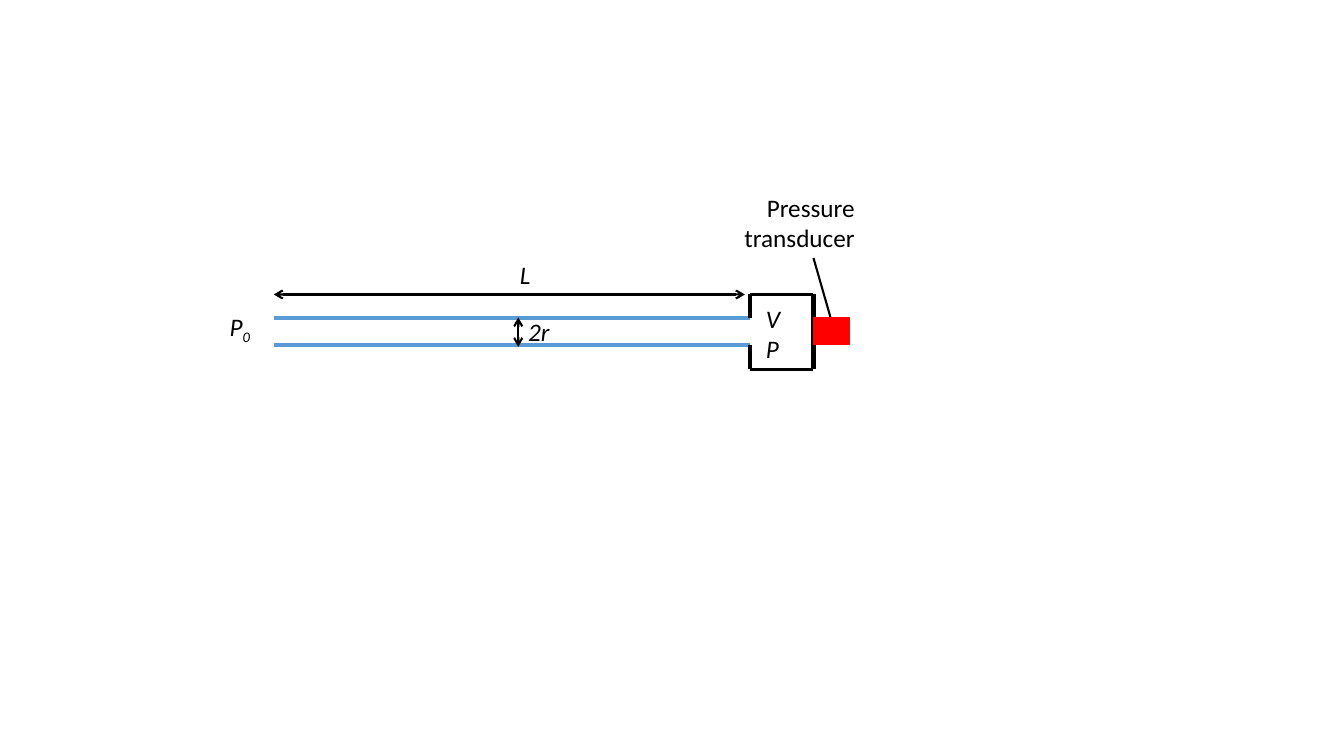
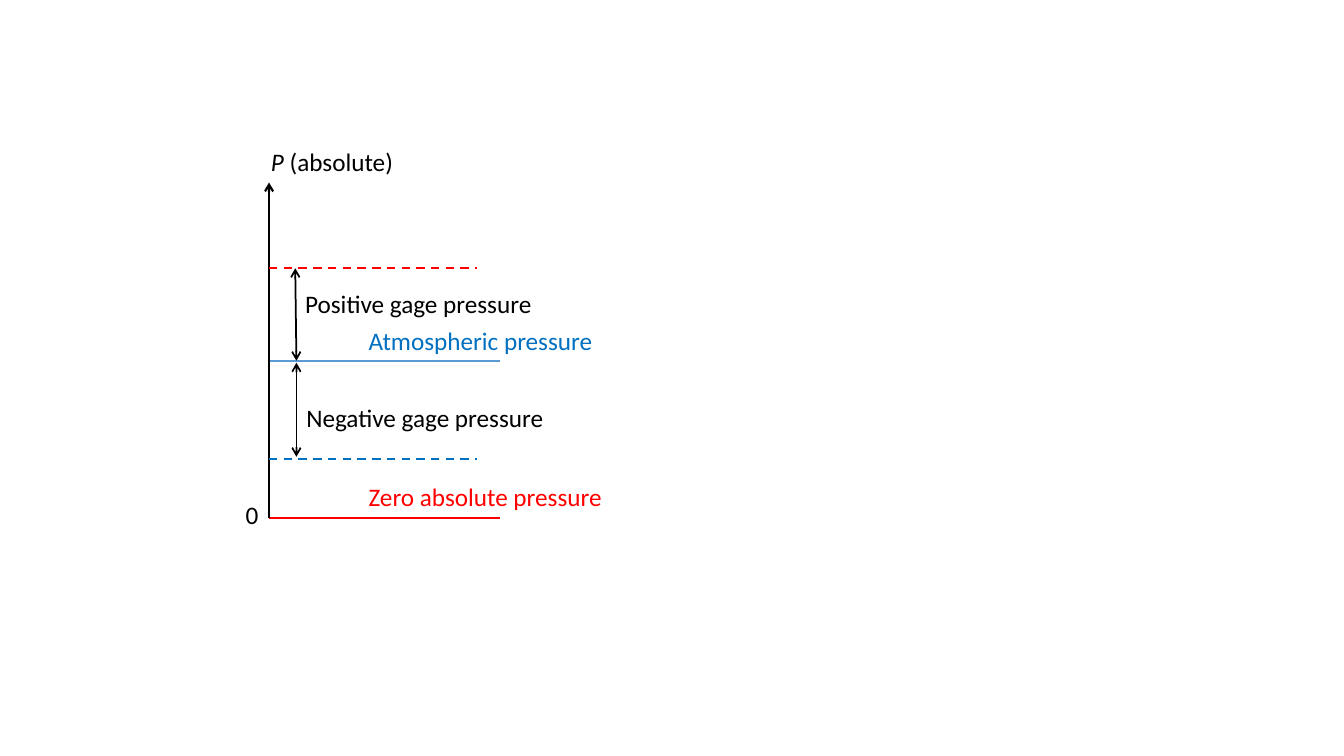
"""Draw a pressure tube with its transducer and a scale of gage pressures."""
import pptx
import pptx.chart.data
import pptx.dml.color
import pptx.enum.dml
import pptx.enum.shapes
import pptx.enum.text
import pptx.oxml
import pptx.oxml.ns
import pptx.util

Cm, Pt = pptx.util.Cm, pptx.util.Pt
RGB = pptx.dml.color.RGBColor
BLACK = RGB(0x00, 0x00, 0x00)
RED = RGB(0xFF, 0x00, 0x00)
BLUE = RGB(0x00, 0x70, 0xC0)
SKY = RGB(0x5B, 0x9B, 0xD5)
FONT, SIZE = "Calibri", 18
ROW, PAIR = 1.02, 1.8
LEFT, RIGHT = pptx.enum.text.PP_ALIGN.LEFT, pptx.enum.text.PP_ALIGN.RIGHT
HEAD, BOTH = ("headEnd",), ("headEnd", "tailEnd")

MOUTH, WALL, BACK = 6.9, 18.9, 20.5
ROOF, UPPER, LOWER, FLOOR = 7.42, 8.02, 8.69, 9.3
BORE = 13.06
TUBE = {
    "lines": [
        (MOUTH, UPPER, WALL, UPPER, SKY, 3),
        (MOUTH, LOWER, WALL, LOWER, SKY, 3),
        (WALL, UPPER, WALL, ROOF, BLACK, 3),
        (WALL, FLOOR, WALL, LOWER, BLACK, 3),
        (WALL, ROOF, BACK, ROOF, BLACK, 2.25),
        (WALL, FLOOR, BACK, FLOOR, BLACK, 2.25),
        (BACK, FLOOR, BACK, ROOF, BLACK, 3),
        (MOUTH, ROOF, 18.77, ROOF, BLACK, 1.5, BOTH),
        (20.93, 8, BACK, 6.5, BLACK, 1.5),
        (BORE, 8, BORE, 8.74, BLACK, 1.5, BOTH),
    ],
    "boxes": [(BACK, 8, 0.91, 0.69, RED)],
    "texts": [
        (19.05, 7.52, 1.3, PAIR, [("V P", "i")]),
        (5.54, 7.72, 1.3, ROW, [("P", "i"), ("0", "i_")]),
        (12.85, 6.4, 1.3, ROW, [("L", "i")]),
        (BORE, 7.85, 1.3, ROW, [("2r", "i")]),
        (18.11, 4.72, 3.68, PAIR, [("Pressure transducer", "")], BLACK, RIGHT),
    ],
}

AXIS, LONG, SHORT = 6.78, 12.6, 12.01
TOP, HIGH, ATMOS, LOW, ZERO = 4.6, 6.76, 9.09, 11.56, 13.06
SCALE = {
    "lines": [
        (AXIS, ZERO, LONG, ZERO, RED, 1.5),
        (AXIS, ATMOS, LONG, ATMOS, SKY, 1.5),
        (AXIS, TOP, AXIS, ZERO, BLACK, 1.5, HEAD),
        (AXIS, HIGH, SHORT, HIGH, RED, 1.5, (), True),
        (AXIS, LOW, SHORT, LOW, BLUE, 1.5, (), True),
        (7.44, HIGH, 7.47, ATMOS, BLACK, 1.25, BOTH),
        (7.47, ATMOS + 0.05, 7.47, LOW - 0.05, BLACK, 1.25, BOTH),
    ],
    "boxes": [],
    "texts": [
        (6.58, 3.56, 5.44, ROW, [("P", "i"), (" (absolute)", "")]),
        (9.04, 12.01, 7.47, ROW, [("Zero absolute pressure", "")], RED),
        (9.04, 8.08, 7.47, ROW, [("Atmospheric pressure", "")], BLUE),
        (7.44, 7.14, 7.47, ROW, [("Positive gage pressure", "")]),
        (7.47, 10.01, 7.47, ROW, [("Negative gage pressure", "")]),
        (5.94, 12.47, 5.44, ROW, [("0", "")]),
    ],
}


def add_line(slide, x1, y1, x2, y2, color, width, ends=(), dash=False):
    kind = pptx.enum.shapes.MSO_CONNECTOR.STRAIGHT
    link = slide.shapes.add_connector(kind, Cm(x1), Cm(y1), Cm(x2), Cm(y2))
    link.line.color.rgb = color
    link.line.width = Pt(width)
    if dash:
        link.line.dash_style = pptx.enum.dml.MSO_LINE.DASH
    for end in ends:
        tip = pptx.oxml.parse_xml(
            f'<a:{end} {pptx.oxml.ns.nsdecls("a")} type="arrow"/>')
        link.line._get_or_add_ln().append(tip)
    props = link._element.spPr
    props.append(pptx.oxml.parse_xml(
        f'<a:effectLst {pptx.oxml.ns.nsdecls("a")}/>'))


def add_box(slide, x, y, wide, high, color):
    kind = pptx.enum.shapes.MSO_SHAPE.RECTANGLE
    box = slide.shapes.add_shape(kind, Cm(x), Cm(y), Cm(wide), Cm(high))
    box.shadow.inherit = False
    box.fill.solid()
    box.fill.fore_color.rgb = color
    box.line.color.rgb = color
    box.line.width = Pt(1)


def add_text(slide, x, y, wide, high, parts, color=BLACK, align=LEFT):
    box = slide.shapes.add_textbox(Cm(x), Cm(y), Cm(wide), Cm(high))
    frame = box.text_frame
    frame.word_wrap = True
    frame.auto_size = pptx.enum.text.MSO_AUTO_SIZE.SHAPE_TO_FIT_TEXT
    para = frame.paragraphs[0]
    para.alignment = align
    for words, style in parts:
        run = para.add_run()
        run.text = words
        run.font.name = FONT
        run.font.size = Pt(SIZE)
        run.font.color.rgb = color
        run.font.italic = "i" in style
        if "_" in style:
            run.font._element.set("baseline", "-25000")


def main():
    deck = pptx.Presentation()
    deck.slide_width, deck.slide_height = Cm(33.87), Cm(19.05)
    for plan in (TUBE, SCALE):
        slide = deck.slides.add_slide(deck.slide_layouts[6])
        for line in plan["lines"]:
            add_line(slide, *line)
        for box in plan["boxes"]:
            add_box(slide, *box)
        for text in plan["texts"]:
            add_text(slide, *text)
    deck.save("out.pptx")


if __name__ == "__main__":
    main()
